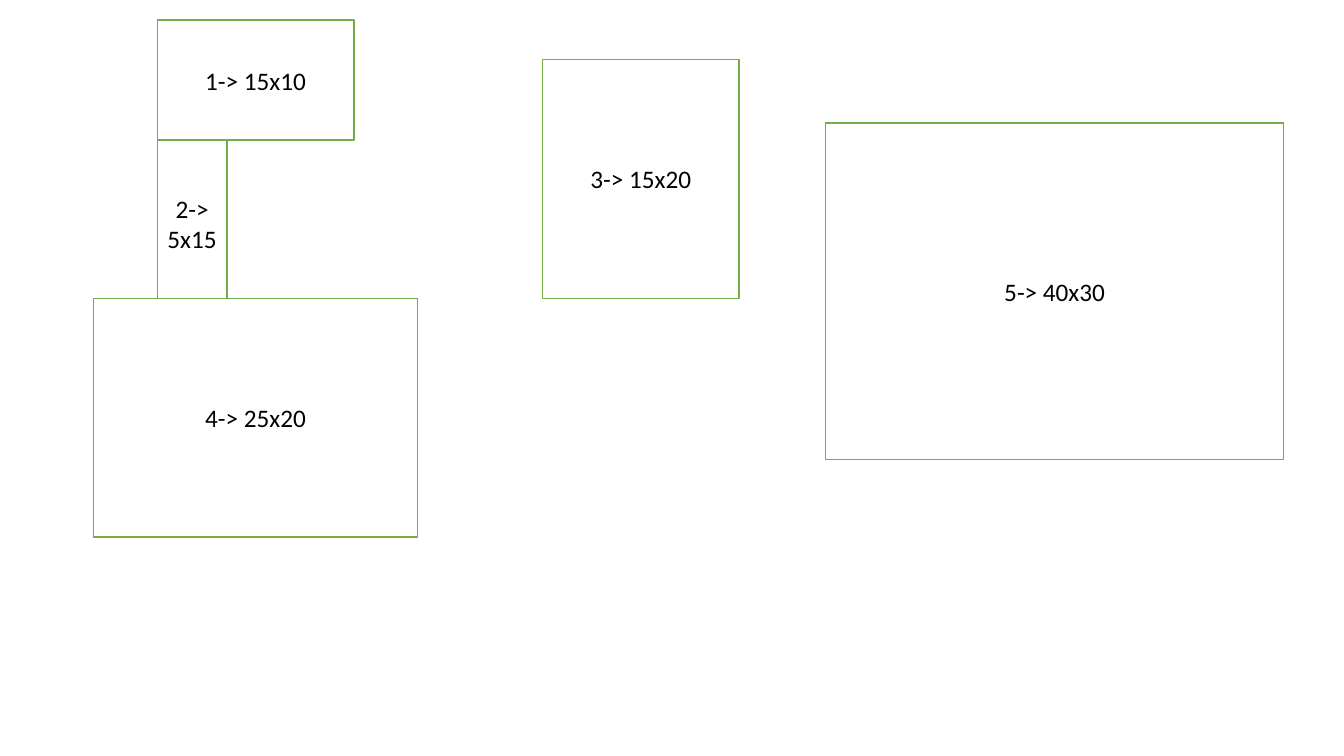
import pptx
import pptx.util
import pptx.dml.color
import pptx.enum.shapes
import pptx.enum.text

Inches = pptx.util.Inches
WHITE = pptx.dml.color.RGBColor(0xFF, 0xFF, 0xFF)
GREEN = pptx.dml.color.RGBColor(0x70, 0xAD, 0x47)
BLACK = pptx.dml.color.RGBColor(0x00, 0x00, 0x00)

RECTANGLES = [
    ("1-> 15x10", 1.56, 0.2, 1.95, 1.19),
    ("2-> 5x15", 1.56, 1.39, 0.69, 1.65),
    ("3-> 15x20", 5.38, 0.59, 1.95, 2.37),
    ("4-> 25x20", 0.93, 2.96, 3.21, 2.37),
    ("5-> 40x30", 8.19, 1.22, 4.54, 3.34),
]


def add_label(box, label):
    frame = box.text_frame
    frame.word_wrap = True
    frame.vertical_anchor = pptx.enum.text.MSO_ANCHOR.MIDDLE
    para = frame.paragraphs[0]
    para.alignment = pptx.enum.text.PP_ALIGN.CENTER
    span = para.add_run()
    span.text = label
    span.font.name = "Calibri"
    span.font.size = pptx.util.Pt(18)
    span.font.color.rgb = BLACK


def add_rectangle(page, label, left, top, width, height):
    box = page.shapes.add_shape(
        pptx.enum.shapes.MSO_SHAPE.RECTANGLE,
        Inches(left), Inches(top), Inches(width), Inches(height),
    )
    box.shadow.inherit = False
    box.fill.solid()
    box.fill.fore_color.rgb = WHITE
    box.line.color.rgb = GREEN
    box.line.width = pptx.util.Pt(1)
    add_label(box, label)


def main():
    deck = pptx.Presentation()
    deck.slide_width = Inches(13.33)
    deck.slide_height = Inches(7.5)
    page = deck.slides.add_slide(deck.slide_layouts[6])
    for rectangle in RECTANGLES:
        add_rectangle(page, *rectangle)
    deck.save("out.pptx")


main()
